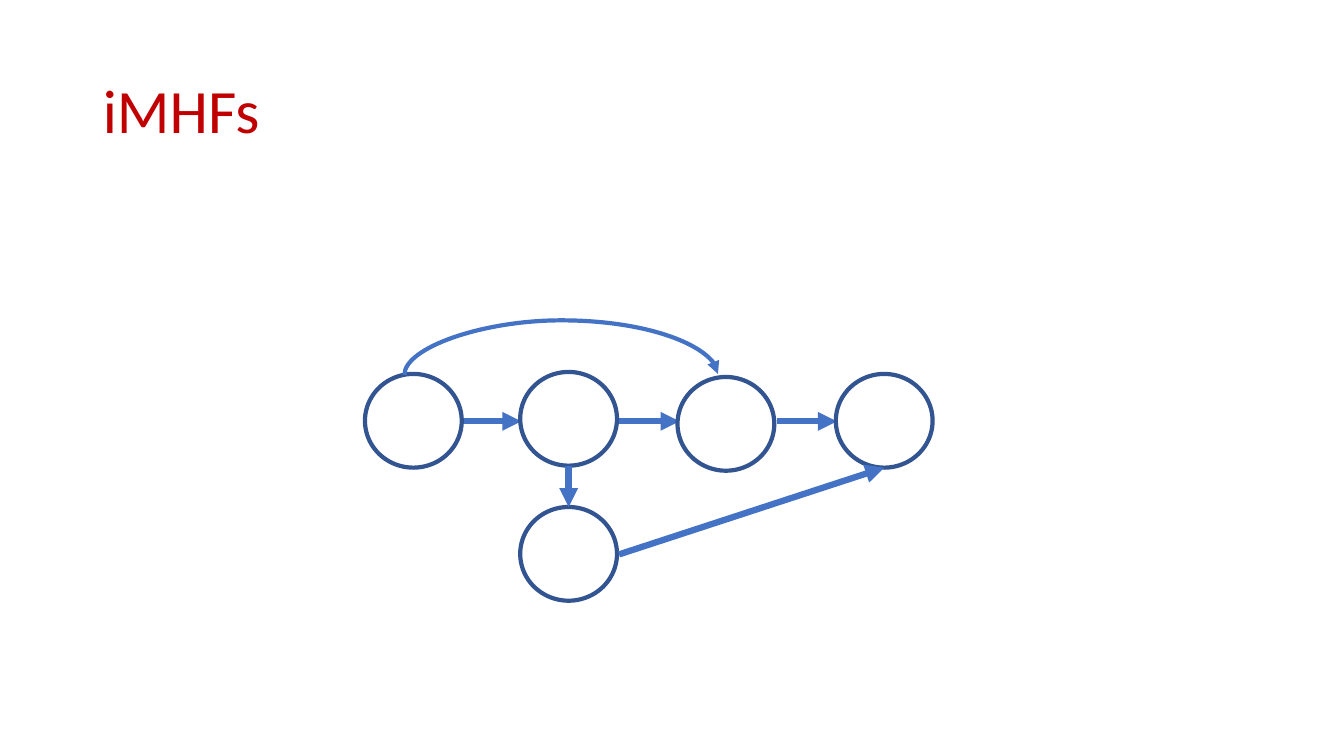
from lxml.etree import SubElement
from pptx import Presentation
from pptx.dml.color import RGBColor
from pptx.enum.shapes import MSO_CONNECTOR, MSO_SHAPE
from pptx.enum.text import MSO_ANCHOR, PP_ALIGN
from pptx.oxml.ns import qn
from pptx.util import Pt

PX = 9144  # EMU per px, 100 px to the inch


def color(hex_string):
    return RGBColor.from_string(hex_string)


def add_arrow(kind, ends, width):
    arrow = slide.shapes.add_connector(kind, *[end * PX for end in ends])
    arrow.line.color.rgb = color("4472C4")
    arrow.line.width = Pt(width)
    SubElement(arrow.line._get_or_add_ln(), qn("a:tailEnd"), type="triangle")
    SubElement(arrow._element.spPr, qn("a:effectLst"))
    return arrow


deck = Presentation()
deck.slide_width, deck.slide_height = 1333 * PX, 750 * PX
slide = deck.slides.add_slide(deck.slide_layouts[5])

# Title
title = slide.shapes.title
title_place = {"left": 92, "top": 40, "width": 1150, "height": 145}
for name, value in title_place.items():
    setattr(title, name, value * PX)
title.text_frame.word_wrap = True
title.text_frame.vertical_anchor = MSO_ANCHOR.MIDDLE
para = title.text_frame.paragraphs[0]
para.alignment = PP_ALIGN.LEFT
para.line_spacing = 0.9
span = para.add_run()
span.text = "iMHFs"
title_font = {"name": "Calibri", "size": Pt(44), "bold": False}
for name, value in title_font.items():
    setattr(span.font, name, value)
span.font.color.rgb = color("C00000")

# Arrows along the chain
for start, end in [(458, 517), (614, 674), (771, 830)]:
    add_arrow(MSO_CONNECTOR.STRAIGHT, (start, 418, end, 418), 4.5)

# Nodes: four in the chain, one below the second
for left, top in [(362, 371), (516, 369), (672, 374), (829, 371), (516, 503)]:
    node = slide.shapes.add_shape(
        MSO_SHAPE.OVAL, left * PX, top * PX, 96 * PX, 93 * PX)
    node.shadow.inherit = False
    node.fill.solid()
    node.fill.fore_color.rgb = color("FFFFFF")
    node.line.color.rgb = color("325491")
    node.line.width = Pt(3)

# Arrows to and from the lower node
for ends in [(564, 462, 564, 503), (614, 550, 877, 464)]:
    add_arrow(MSO_CONNECTOR.STRAIGHT, ends, 4.5)

# Arc from the first node to the third: a tall, thin curve turned a quarter
arc = add_arrow(MSO_CONNECTOR.CURVE, (557, 527, 556, 216), 3)
arc._element.spPr.find(qn("a:xfrm")).set("rot", "5400000")
adjustments = arc._element.spPr.find(qn("a:prstGeom")).find(qn("a:avLst"))
SubElement(adjustments, qn("a:gd"), name="adj1", fmla="val 5500000")

deck.save("out.pptx")
